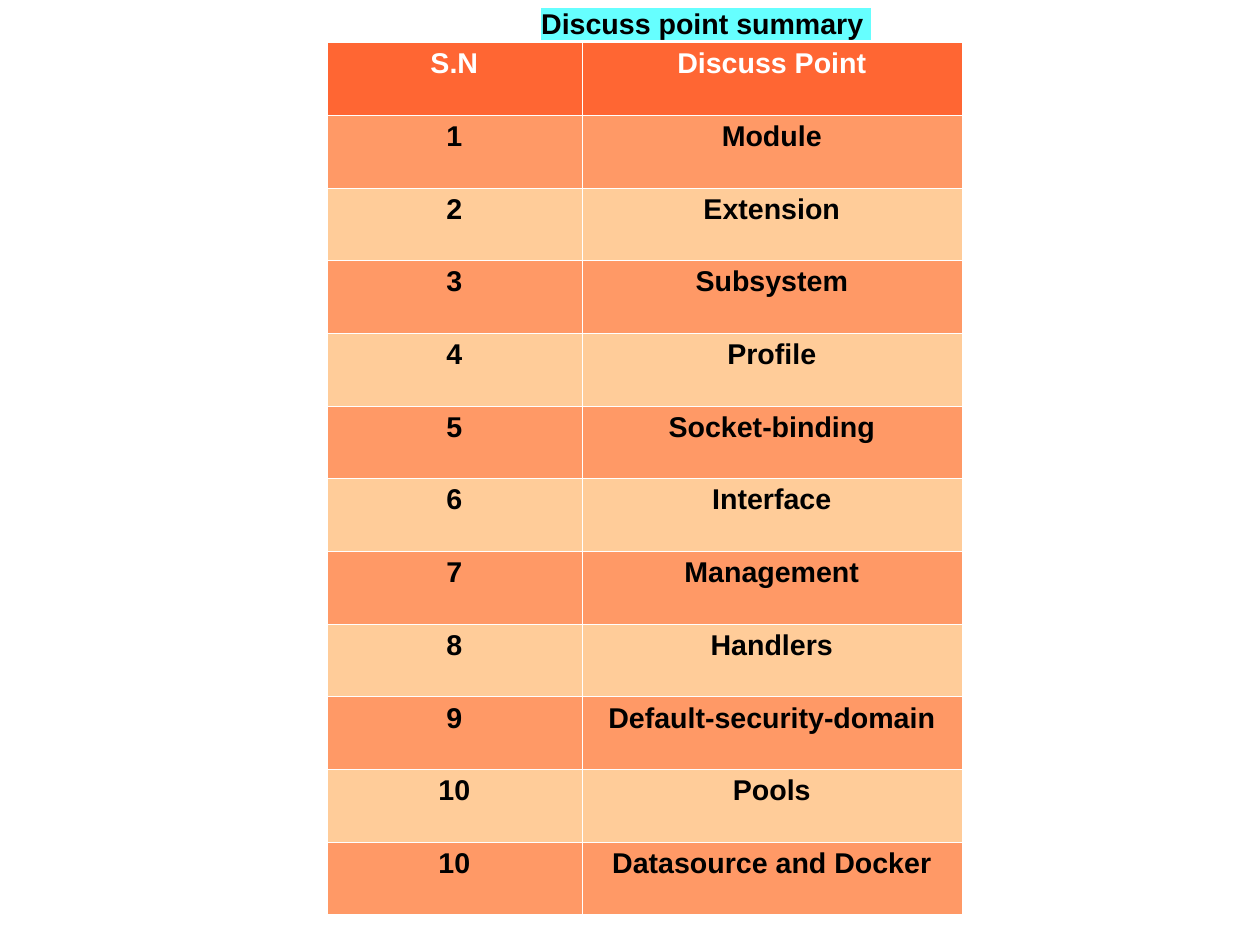
from dataclasses import dataclass

from lxml.etree import SubElement
from pptx import Presentation
from pptx.dml.color import RGBColor
from pptx.enum.text import MSO_AUTO_SIZE as AutoSize, PP_ALIGN as Align
from pptx.oxml import parse_xml
from pptx.oxml.ns import nsdecls, qn
from pptx.slide import Slide
from pptx.table import _Cell as Cell
from pptx.text.text import _Paragraph as Paragraph
from pptx.util import Pt

BLACK = RGBColor(0x00, 0x00, 0x00)
WHITE = RGBColor(0xFF, 0xFF, 0xFF)
ORANGE = RGBColor(0xFF, 0x66, 0x33)
SALMON = RGBColor(0xFF, 0x99, 0x66)
PEACH = RGBColor(0xFF, 0xCC, 0x99)
CYAN = RGBColor(0x66, 0xFF, 0xFF)

SLIDE_WIDTH = Pt(793.7)
SLIDE_HEIGHT = Pt(595.28)
FONT_FORMAT = {"name": "Arial", "size": Pt(18), "bold": True}
COLUMN_WIDTHS = (Pt(160.5), Pt(239.5))
ROW_HEIGHT = Pt(45.78)
BORDER_WIDTH = Pt(0.06)


@dataclass
class DiscussRow:
    number: str
    point: str
    fill: RGBColor
    color: RGBColor = BLACK


POINTS = [
    ("1", "Module"),
    ("2", "Extension"),
    ("3", "Subsystem"),
    ("4", "Profile"),
    ("5", "Socket-binding"),
    ("6", "Interface"),
    ("7", "Management"),
    ("8", "Handlers"),
    ("9", "Default-security-domain"),
    ("10", "Pools"),
    ("10", "Datasource and Docker"),
]
ROWS = [DiscussRow("S.N", "Discuss Point", ORANGE, WHITE)] + [
    DiscussRow(number, point, PEACH if index % 2 else SALMON)
    for index, (number, point) in enumerate(POINTS)
]


def write_centered(paragraph: Paragraph, text: str, color: RGBColor) -> None:
    paragraph.alignment = Align.CENTER
    run = paragraph.add_run()
    run.text = text
    for attribute, value in FONT_FORMAT.items():
        setattr(run.font, attribute, value)
    run.font.color.rgb = color


def add_borders(cell: Cell) -> None:
    properties = cell._tc.get_or_add_tcPr()
    for position, side in enumerate(("lnL", "lnR", "lnT", "lnB")):
        border = parse_xml(f'<a:{side} {nsdecls("a")} w="{BORDER_WIDTH}"/>')
        fill = SubElement(border, qn("a:solidFill"))
        SubElement(fill, qn("a:srgbClr"), val=str(WHITE))
        properties.insert(position, border)


def add_discuss_table(slide: Slide) -> None:
    table = slide.shapes.add_table(
        len(ROWS), len(COLUMN_WIDTHS), Pt(205.92), Pt(26.64),
        sum(COLUMN_WIDTHS), ROW_HEIGHT * len(ROWS)).table
    for column, width in zip(table.columns, COLUMN_WIDTHS):
        column.width = width
    for index, row in enumerate(ROWS):
        table.rows[index].height = ROW_HEIGHT
        for cell, text in zip(table.rows[index].cells, (row.number, row.point)):
            cell.fill.solid()
            cell.fill.fore_color.rgb = row.fill
            add_borders(cell)
            write_centered(cell.text_frame.paragraphs[0], text, row.color)


def add_heading(slide: Slide) -> None:
    frame = slide.shapes.add_textbox(Pt(169.92), Pt(0), Pt(550), Pt(27.36)).text_frame
    frame.word_wrap = True
    frame.auto_size = AutoSize.SHAPE_TO_FIT_TEXT
    heading = frame.paragraphs[0]
    write_centered(heading, "Discuss point summary ", BLACK)
    # The highlight belongs right after the text fill
    text_fill = heading.runs[0]._r.rPr.find(qn("a:solidFill"))
    highlight = parse_xml(f'<a:highlight {nsdecls("a")}/>')
    SubElement(highlight, qn("a:srgbClr"), val=str(CYAN))
    text_fill.addnext(highlight)


def main() -> None:
    deck = Presentation()
    deck.slide_width = SLIDE_WIDTH
    deck.slide_height = SLIDE_HEIGHT
    slide = deck.slides.add_slide(deck.slide_layouts[6])
    add_discuss_table(slide)
    add_heading(slide)
    deck.save("out.pptx")


if __name__ == "__main__":
    main()
